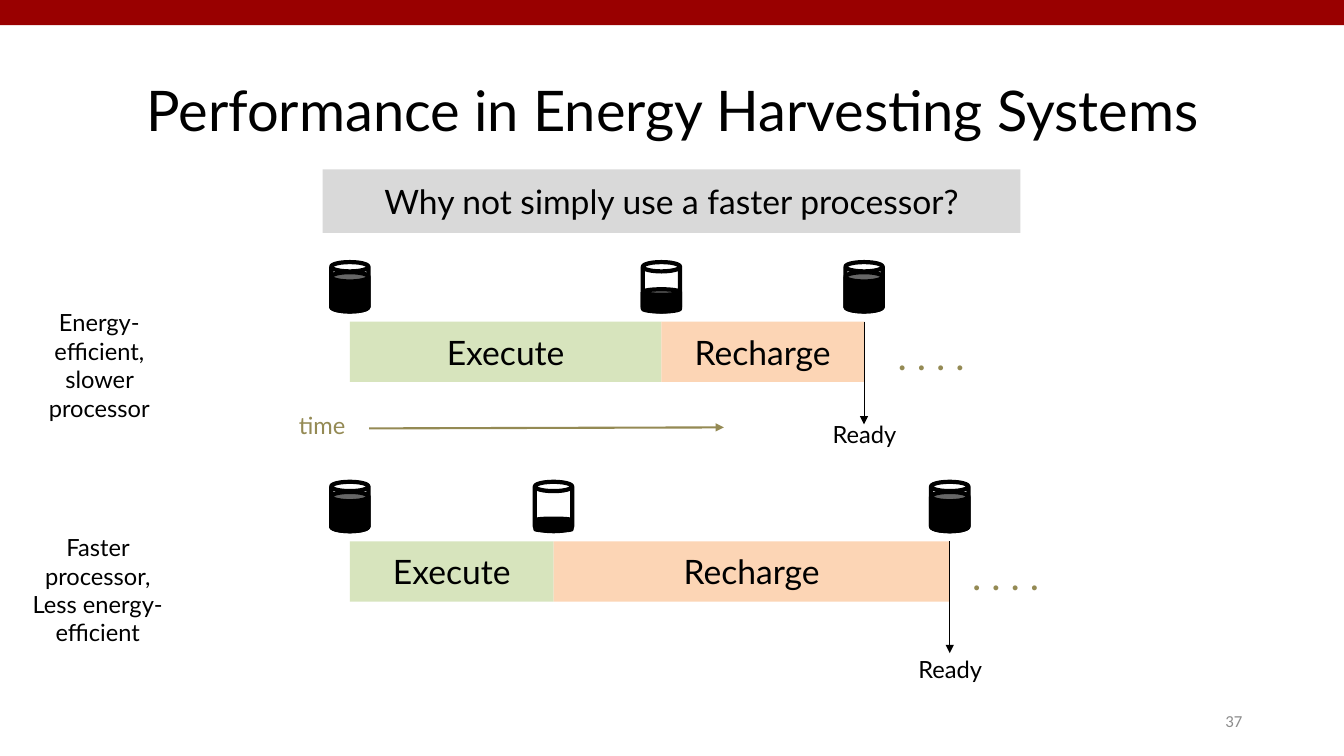
from lxml import etree
from pptx import Presentation
from pptx.dml.color import RGBColor
from pptx.enum.shapes import MSO_CONNECTOR, MSO_SHAPE
from pptx.enum.text import MSO_ANCHOR, PP_ALIGN
from pptx.oxml.ns import qn
from pptx.util import Inches, Pt

RECT, CAN = MSO_SHAPE.RECTANGLE, MSO_SHAPE.CAN
STRAIGHT = MSO_CONNECTOR.STRAIGHT
TOP, MIDDLE = MSO_ANCHOR.TOP, MSO_ANCHOR.MIDDLE
CENTER, RIGHT = PP_ALIGN.CENTER, PP_ALIGN.RIGHT

COLORS = {
    "banner": "990000", "question": "D9D9D9", "execute": "D7E4BD",
    "recharge": "FCD5B5", "time": "948A54", "ink": "000000", "number": "8C8C8C",
}
TITLE = "Performance in Energy Harvesting Systems"
QUESTION = "Why not simply use a faster processor?"
NUMBER = "37"
DOTS = ". . . ."

START, BAR_HEIGHT = 3.47, 0.6
CELL_WIDTH, CELL_HEIGHT, CELL_RISE = 0.37, 0.49, 0.59
FULL = (0.39, 3)
TIMELINES = [
    {"label": ["Energy-efficient,", "slower processor"], "label_at": (0.29, 3.01, 1.39, 1.24),
     "top": 3.19, "execute": 3.09, "recharge": 2.01, "drained": (0.22, 3),
     "arrow": 1.02, "ready_top": 4.12, "dots_left": 8.86},
    {"label": ["Faster processor,", "Less energy-efficient"], "label_at": (0.26, 5.24, 1.42, 1.24),
     "top": 5.37, "execute": 2.02, "recharge": 3.93, "drained": (0.13, 2.25),
     "arrow": 1.11, "ready_top": 6.45, "dots_left": 9.6},
]

prs = Presentation()
prs.slide_width, prs.slide_height = Inches(13.33), Inches(7.5)
slide = prs.slides.add_slide(prs.slide_layouts[5])
shapes = slide.shapes


def rgb(name):
    return RGBColor.from_string(COLORS[name])


def write(frame, lines, size, color="ink", align=CENTER, anchor=MIDDLE,
          side=0.1, font="Lato"):
    layout = {"word_wrap": True, "vertical_anchor": anchor,
              "margin_left": Inches(side), "margin_right": Inches(side)}
    for name, value in layout.items():
        setattr(frame, name, value)
    frame.text = "\n".join(lines)
    for paragraph in frame.paragraphs:
        paragraph.alignment = align
        for name, value in {"name": font, "size": Pt(size)}.items():
            setattr(paragraph.font, name, value)
        paragraph.font.color.rgb = rgb(color)


def add_label(at, lines, size=16.9, **style):
    label = shapes.add_textbox(*map(Inches, at))
    write(label.text_frame, lines, size, **{"anchor": TOP, "side": 0, **style})


def add_block(kind, at, fill=None, line_width=None):
    block = shapes.add_shape(kind, *map(Inches, at))
    block.shadow.inherit = False
    if fill:
        block.fill.solid()
        block.fill.fore_color.rgb = rgb(fill)
    else:
        block.fill.background()
    if line_width:
        block.line.color.rgb = rgb("ink")
        block.line.width = Pt(line_width)
    else:
        block.line.fill.background()
    return block


def add_arrow(start, end, color, width):
    arrow = shapes.add_connector(STRAIGHT, *map(Inches, start + end))
    arrow.line.color.rgb = rgb(color)
    arrow.line.width = Pt(width)
    etree.SubElement(arrow.line._get_or_add_ln(), qn("a:tailEnd"), type="triangle")
    etree.SubElement(arrow._element.spPr, qn("a:effectLst"))


def add_cell(center, bar_top, charge):
    level, line_width = charge
    left, top = center - CELL_WIDTH / 2, bar_top - CELL_RISE
    add_block(CAN, (left, top, CELL_WIDTH, CELL_HEIGHT), line_width=3)
    add_block(CAN, (left, top + CELL_HEIGHT - level, CELL_WIDTH, level), "ink", line_width)


def add_timeline(row):
    top = row["top"]
    drained_at = START + row["execute"]
    ready_at = drained_at + row["recharge"]
    for phase, left in (("execute", START), ("recharge", drained_at)):
        bar = add_block(RECT, (left, top, row[phase], BAR_HEIGHT), phase)
        write(bar.text_frame, [phase.capitalize()], 24)
    add_label((row["dots_left"], top + 0.05, 0.75, 0.57), [DOTS], 28, color="time")
    add_arrow((ready_at, top), (ready_at, top + row["arrow"]), "ink", 0.5)
    add_label((ready_at - 0.69, row["ready_top"], 1.39, 0.39), ["Ready"])
    for center, charge in ((START, FULL), (drained_at, row["drained"]), (ready_at, FULL)):
        add_cell(center, top, charge)
    add_label(row["label_at"], row["label"])


add_block(RECT, (0, 0, 13.33, 0.25), "banner")

title = shapes.title
title.left, title.top, title.width, title.height = map(Inches, (0.92, 0.4, 11.5, 1.45))
write(title.text_frame, [TITLE], 40)
title.text_frame.paragraphs[0].line_spacing = 0.9

question = add_block(RECT, (3.2, 1.68, 6.92, 0.63), "question")
write(question.text_frame, [QUESTION], 24, side=0.4)

for timeline in TIMELINES:
    add_timeline(timeline)

add_label((2.73, 4.03, 0.93, 0.39), ["time"], color="time")
add_arrow((3.66, 4.25), (7.18, 4.24), "time", 1.5)
add_label((9.42, 6.95, 3, 0.4), [NUMBER], 12, color="number", align=RIGHT,
          anchor=MIDDLE, side=0.1, font="Calibri")

prs.save("out.pptx")
